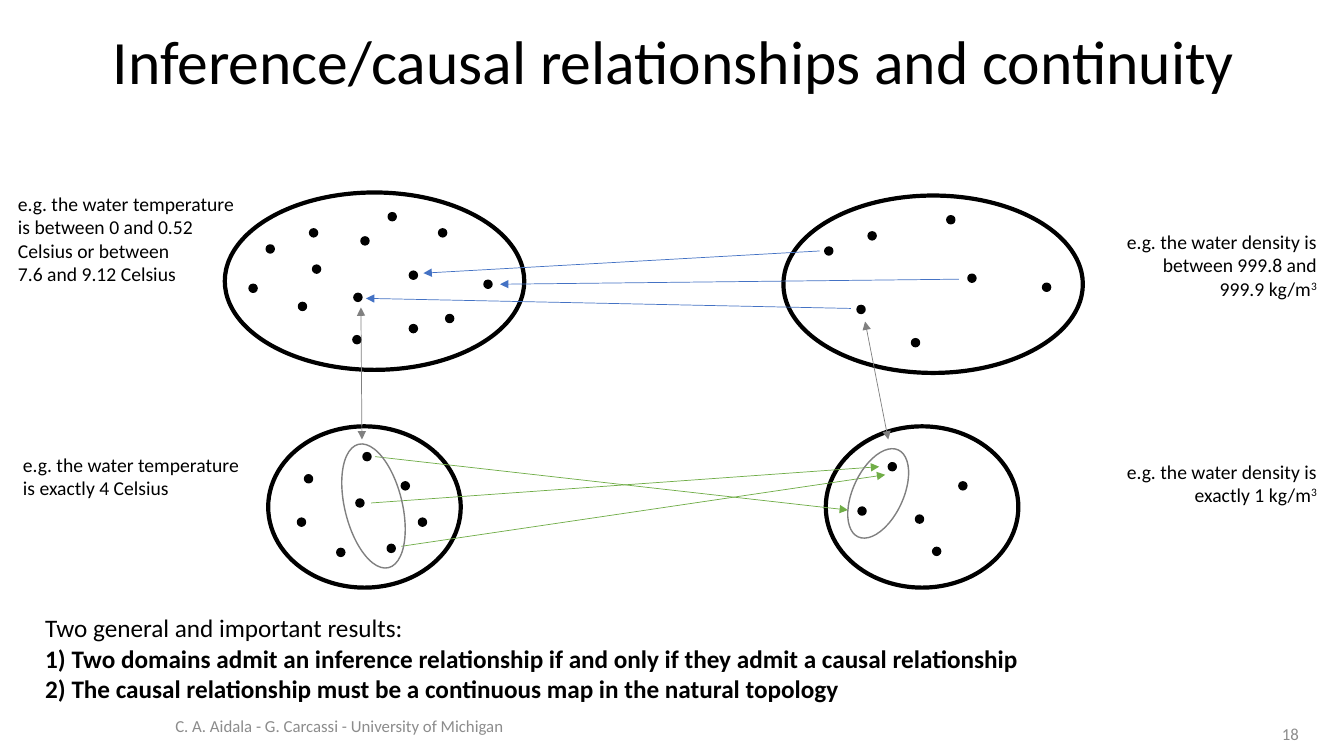
from pptx import Presentation
from pptx.dml.color import RGBColor
from pptx.enum import shapes, text
from pptx.oxml.ns import qn
from pptx.util import Inches, Pt
from lxml import etree

BLACK, WHITE, GRAY, FOOTER = "000000", "FFFFFF", "808080", "8C8C8C"
BLUE, GREEN = "4472C4", "70AD47"
DOT = 0.08

# Each domain: outline (left, top, width, height) and the corners of its dots
DENSITY_POINTS = ((8.19, 4.23, 1.91, 1.6), [
    (9.51, 4.78), (8.51, 5.03), (9.25, 5.43), (9.08, 5.11), (8.81, 4.59)])
TEMPERATURE_POINTS = ((2.66, 4.23, 1.91, 1.6), [
    (3.98, 4.78), (2.95, 5.14), (4.15, 5.14), (3.34, 5.44),
    (3.53, 4.95), (3.84, 5.4), (3.6, 4.49), (3.02, 4.71)])
TEMPERATURE_STATEMENTS = ((2.23, 1.91, 2.97, 1.76), [
    (3.58, 2.35), (2.47, 2.82), (4.06, 2.69), (4.06, 3.22), (3.51, 2.91),
    (2.96, 3), (3.1, 2.63), (4.35, 2.27), (3.5, 3.33), (3.07, 2.27),
    (3.85, 2.11), (4.42, 3.12), (4.8, 2.78), (2.64, 2.43)])
DENSITY_STATEMENTS = ((7.77, 1.94, 2.97, 1.76), [
    (9.6, 2.72), (8.5, 3.03), (9.04, 3.36), (8.61, 2.3),
    (9.39, 2.14), (10.34, 2.81), (8.18, 2.45)])

# Arrows: start x, start y, end x, end y
CAUSAL = [(3.98, 5.42, 8.78, 4.71), (3.68, 4.99, 8.72, 4.63),
          (3.72, 4.53, 8.41, 5.06)]
INFERENCE = [(8.13, 2.49, 4.2, 2.71), (8.44, 3.06, 3.63, 2.96),
             (9.51, 2.77, 4.96, 2.82)]
CORRESPONDENCE = [(8.58, 3.19, 8.81, 4.36), (3.58, 3.05, 3.59, 4.36)]

# Subsets: box and rotation
SUBSETS = [((8.46, 4.42, 0.5, 0.95), 24.8), ((3.42, 4.39, 0.57, 1.26), 346.3)]

RESULTS = [
    "Two general and important results:",
    "1) Two domains admit an inference relationship if and only if they "
    "admit a causal relationship",
    "2) The causal relationship must be a continuous map in the natural topology",
]
# Side notes: box, right aligned, text; what follows ^ is superscript
NOTES = [
    ((10.96, 2.23, 2.2, 0.81), True,
     "e.g. the water density is between 999.8 and 999.9 kg/m^3"),
    ((0.08, 1.85, 2.36, 1.04), False,
     "e.g. the water temperature is between 0 and 0.52 Celsius or between"
     "\v7.6 and 9.12 Celsius"),
    ((0.13, 4.44, 2.36, 0.57), False,
     "e.g. the water temperature is exactly 4 Celsius"),
    ((10.96, 4.51, 2.2, 0.57), True,
     "e.g. the water density is exactly 1 kg/m^3"),
]


def rgb(color):
    return RGBColor.from_string(color)


def add_ellipse(parent, box, fill, line, width):
    sp = parent.add_shape(shapes.MSO_SHAPE.OVAL, *map(Inches, box))
    sp.shadow.inherit = False
    if fill:
        sp.fill.solid()
        sp.fill.fore_color.rgb = rgb(fill)
    else:
        sp.fill.background()
    sp.line.color.rgb = rgb(line)
    sp.line.width = Pt(width)
    return sp


def add_domain(parent, domain):
    outline, dots = domain
    add_ellipse(parent, outline, WHITE, BLACK, 3)
    for x, y in dots:
        add_ellipse(parent, (x, y, DOT, DOT), BLACK, BLACK, 1)


def add_arrows(parent, arrows, color, ends=("tailEnd",)):
    for points in arrows:
        line = parent.add_connector(shapes.MSO_CONNECTOR.STRAIGHT,
                                    *map(Inches, points))
        line.line.color.rgb = rgb(color)
        line.line.width = Pt(0.5)
        for end in ends:
            etree.SubElement(line.line._get_or_add_ln(), qn("a:" + end),
                             type="triangle")
        etree.SubElement(line._element.spPr, qn("a:effectLst"))


def add_text(s, box, lines, size, color=BLACK, align=text.PP_ALIGN.LEFT,
             anchor=text.MSO_ANCHOR.TOP, wrap=True):
    tf = s.shapes.add_textbox(*map(Inches, box)).text_frame
    tf.word_wrap = wrap
    tf.vertical_anchor = anchor
    for i, line in enumerate(lines):
        p = tf.add_paragraph() if i else tf.paragraphs[0]
        p.alignment = align
        body, _, superscript = line.partition("^")
        p.text = body
        if superscript:
            r = p.add_run()
            r.text = superscript
            r._r.get_or_add_rPr().set("baseline", "30000")
        for r in p.runs:
            r.font.name = "Calibri"
            r.font.size = Pt(size)
            r.font.color.rgb = rgb(color)
    return tf


def main():
    prs = Presentation()
    prs.slide_width, prs.slide_height = Inches(13.33), Inches(7.5)
    s = prs.slides.add_slide(prs.slide_layouts[6])

    points = s.shapes.add_group_shape().shapes
    add_domain(points, DENSITY_POINTS)
    add_domain(points, TEMPERATURE_POINTS)
    add_arrows(points, CAUSAL, GREEN)
    for domain in (TEMPERATURE_STATEMENTS, DENSITY_STATEMENTS):
        add_domain(s.shapes.add_group_shape().shapes, domain)
    add_arrows(s.shapes, INFERENCE, BLUE)

    subsets = s.shapes.add_group_shape().shapes
    for box, angle in SUBSETS:
        add_ellipse(subsets, box, None, GRAY, 1).rotation = angle
    add_arrows(subsets, CORRESPONDENCE, GRAY, ("headEnd", "tailEnd"))

    results = add_text(s, (0.35, 6.03, 9.98, 1.01), RESULTS, 18, wrap=False)
    for p in results.paragraphs[1:]:
        p.runs[0].font.bold = True

    middle = text.MSO_ANCHOR.MIDDLE
    title = add_text(s, (0.21, 0.15, 12.95, 0.98),
                     ["Inference/causal relationships and continuity"], 44,
                     align=text.PP_ALIGN.CENTER, anchor=middle)
    title.paragraphs[0].line_spacing = 0.9
    add_text(s, (1.64, 7, 6.53, 0.4),
             ["C. A. Aidala - G. Carcassi - University of Michigan"], 12,
             FOOTER, anchor=middle)
    add_text(s, (12.37, 7.15, 0.61, 0.25), ["18"], 12, FOOTER,
             text.PP_ALIGN.RIGHT, middle)
    for box, right, note in NOTES:
        align = text.PP_ALIGN.RIGHT if right else text.PP_ALIGN.LEFT
        add_text(s, box, [note], 14, align=align)

    prs.save("out.pptx")


if __name__ == "__main__":
    main()
